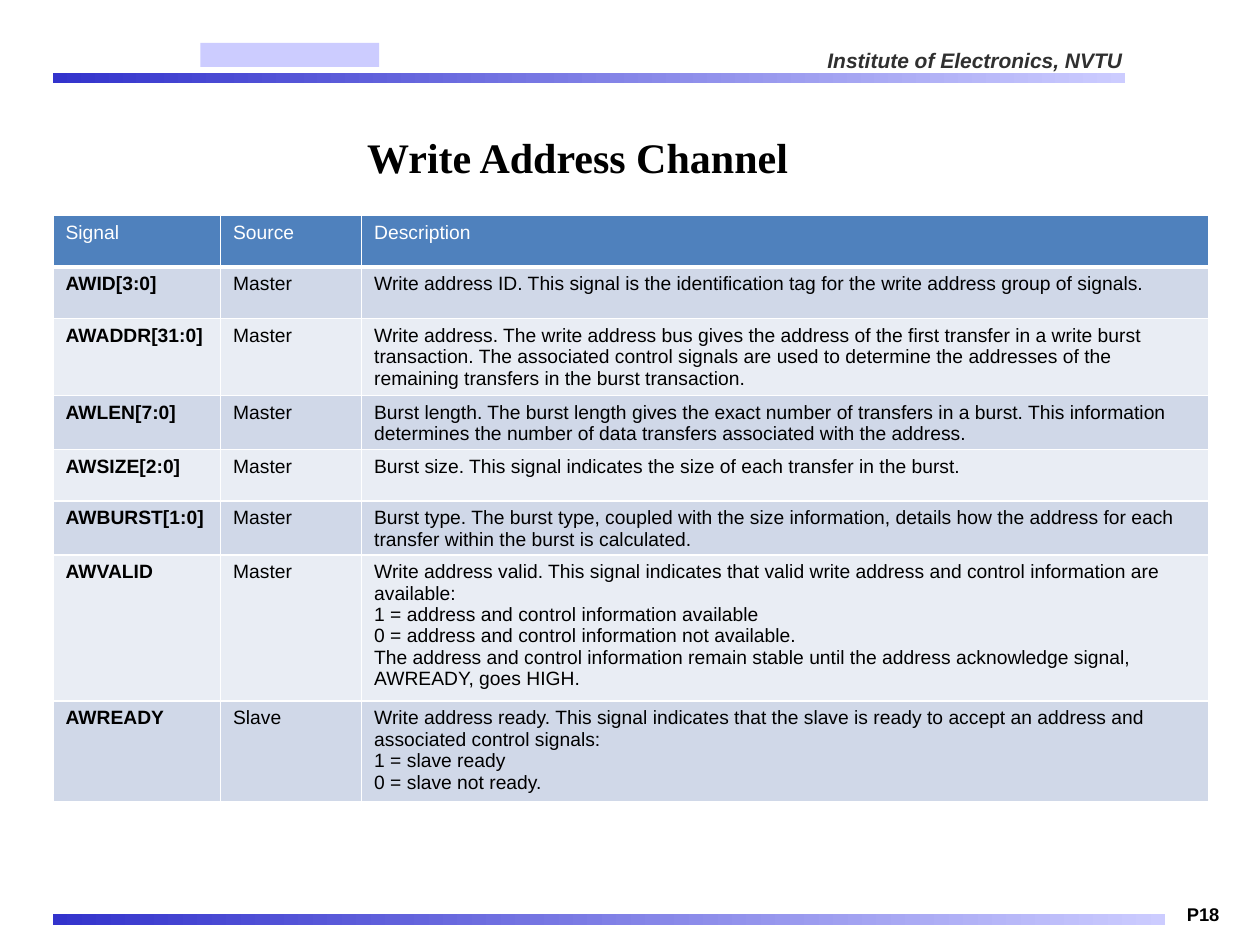
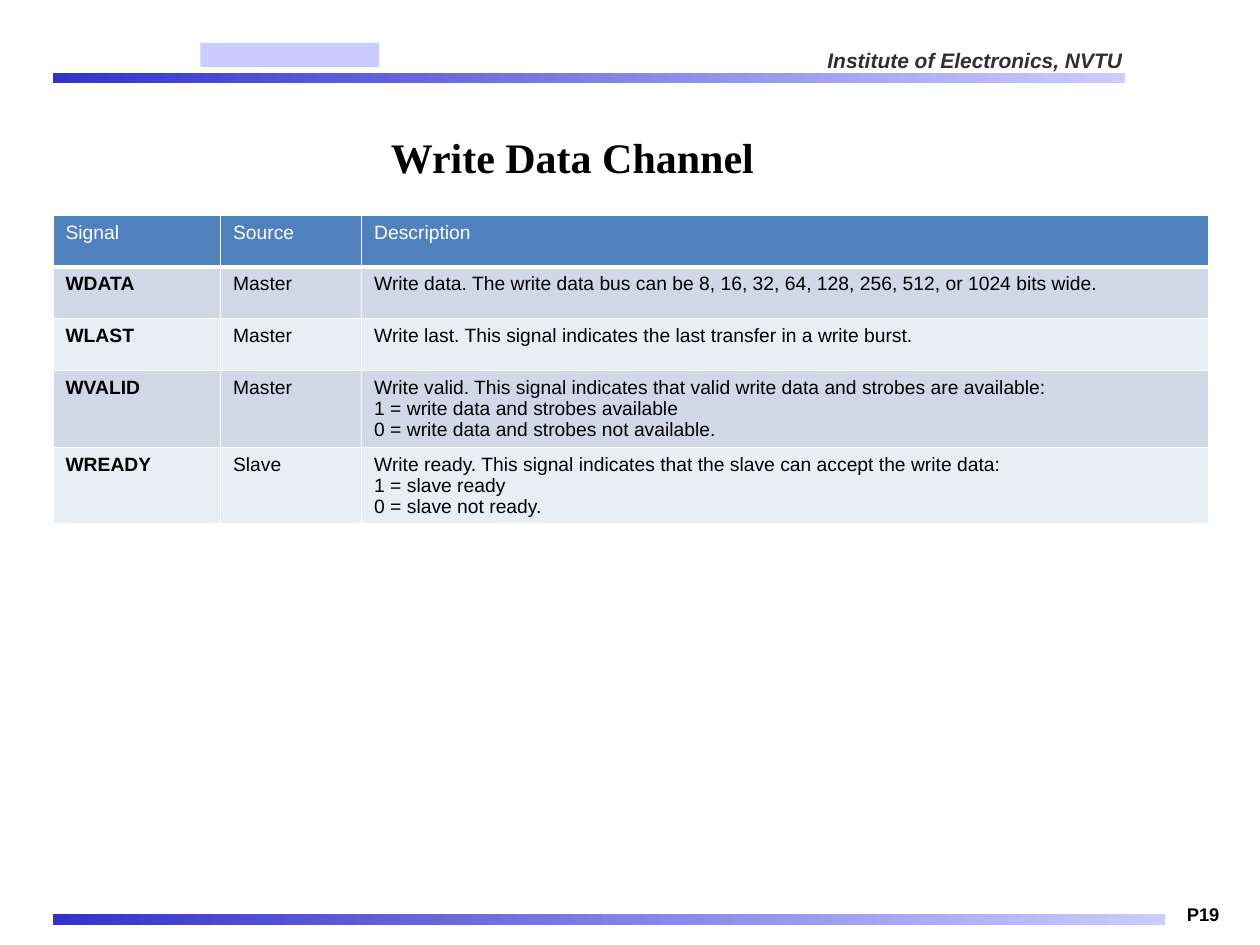
from pptx import Presentation
from pptx.dml.color import RGBColor
from pptx.enum.shapes import MSO_SHAPE as Shape
from pptx.enum.text import MSO_ANCHOR as Anchor, PP_ALIGN as Align
from pptx.oxml.ns import qn
from pptx.util import Inches, Pt
from lxml.etree import SubElement

BLACK, WHITE = "000000", "FFFFFF"
BAND_START, BAND_END = "3333CC", "CCCCFF"
HEADER_FILL = "4F81BD"
ROW_FILLS = ("D0D8E8", "E9EDF4")
COLUMN_WIDTHS = (1.33, 1.12, 6.72)
ROW_HEIGHT = 0.41
TIGHT = (0.07, 0.04)
ROOMY = (0.1, 0.05)

TITLE = {"size": Pt(24), "name": "Times New Roman", "bold": True}
INSTITUTE = {"size": Pt(12), "name": "Arial", "bold": True, "italic": True}
PAGE_NUMBER = {"size": Pt(10.5), "name": "Arial", "bold": True}
CELL = {"size": Pt(11), "name": "Arial", "bold": False}
SIGNAL = {**CELL, "bold": True}

INSTITUTE_NAME = "Institute of Electronics, NVTU"
HEADINGS = ("Signal", "Source", "Description")
ADDRESS_SIGNALS = (
    ("AWID[3:0]", "Master",
     "Write address ID. This signal is the identification tag for the write address "
     "group of signals."),
    ("AWADDR[31:0]", "Master",
     "Write address. The write address bus gives the address of the first transfer in "
     "a write burst transaction. The associated control signals are used to determine "
     "the addresses of the remaining transfers in the burst transaction."),
    ("AWLEN[7:0]", "Master",
     "Burst length. The burst length gives the exact number of transfers in a burst. "
     "This information determines the number of data transfers associated with the "
     "address."),
    ("AWSIZE[2:0]", "Master",
     "Burst size. This signal indicates the size of each transfer in the burst."),
    ("AWBURST[1:0]", "Master",
     "Burst type. The burst type, coupled with the size information, details how the "
     "address for each transfer within the burst is calculated."),
    ("AWVALID", "Master",
     "Write address valid. This signal indicates that valid write address and control "
     "information are available:\n"
     "1 = address and control information available\n"
     "0 = address and control information not available.\n"
     "The address and control information remain stable until the address acknowledge "
     "signal, AWREADY, goes HIGH."),
    ("AWREADY", "Slave",
     "Write address ready. This signal indicates that the slave is ready to accept an "
     "address and associated control signals:\n"
     "1 = slave ready\n0 = slave not ready."),
)
DATA_SIGNALS = (
    ("WDATA", "Master",
     "Write data. The write data bus can be 8, 16, 32, 64, 128, 256, 512, or 1024 bits "
     "wide."),
    ("WLAST", "Master",
     "Write last. This signal indicates the last transfer in a write burst."),
    ("WVALID", "Master",
     "Write valid. This signal indicates that valid write data and strobes are "
     "available:\n"
     "1 = write data and strobes available\n"
     "0 = write data and strobes not available."),
    ("WREADY", "Slave",
     "Write ready. This signal indicates that the slave can accept the write data:\n"
     "1 = slave ready\n0 = slave not ready."),
)
CHANNELS = (("Write Address Channel", ADDRESS_SIGNALS),
            ("Write Data Channel ", DATA_SIGNALS))
FIRST_PAGE = 18


def color(hex_value):
    """Turn a hex string into a colour."""
    return RGBColor.from_string(hex_value)


def set_font(font, style, hex_value):
    """Apply a dict of font values and a colour."""
    for name, value in style.items():
        setattr(font, name, value)
    font.color.rgb = color(hex_value)


def add_span(para, text, style, hex_value=BLACK):
    """Append a formatted run to a paragraph."""
    span = para.add_run()
    span.text = text
    set_font(span.font, style, hex_value)


def add_box(page, left, top, width, height, insets, wrap=True, anchor=Anchor.TOP):
    """Add a text box and return its first paragraph."""
    frame = page.shapes.add_textbox(*map(Inches, (left, top, width, height))).text_frame
    across, down = map(Inches, insets)
    values = {"word_wrap": wrap, "vertical_anchor": anchor,
              "margin_left": across, "margin_right": across,
              "margin_top": down, "margin_bottom": down}
    for name, value in values.items():
        setattr(frame, name, value)
    return frame.paragraphs[0]


def add_block(page, left, top, width, height):
    """Add a rectangle with no line or shadow and return it."""
    block = page.shapes.add_shape(
        Shape.RECTANGLE, *map(Inches, (left, top, width, height)))
    block.shadow.inherit = False
    block.line.fill.background()
    return block


def add_band(page, top, width, height):
    """Add a gradient band running from the left margin."""
    fill = add_block(page, 0.42, top, width, height).fill
    fill.gradient()
    fill.gradient_angle = 0
    for stop, hex_value in zip(fill.gradient_stops, (BAND_START, BAND_END)):
        stop.color.rgb = color(hex_value)


def add_lab_block(page):
    """Add the plain block that holds the lab's place in the header."""
    fill = add_block(page, 1.59, 0.34, 1.42, 0.19).fill
    fill.solid()
    fill.fore_color.rgb = color(BAND_END)


def add_frame(page, number):
    """Add the header, the bands and the page number."""
    add_band(page, 0.58, 8.51, 0.08)
    add_lab_block(page)
    header = add_box(page, 5.98, 0.34, 3, 0.28, TIGHT)
    header.alignment = Align.RIGHT
    add_span(header, INSTITUTE_NAME, INSTITUTE, "303030")
    add_span(add_box(page, 9.35, 7.13, 0.43, 0.25, TIGHT, wrap=False),
             f"P{number}", PAGE_NUMBER)
    add_band(page, 7.25, 8.83, 0.09)


def add_title(page, text):
    """Add the centred slide title."""
    para = add_box(page, 0.42, 0.83, 8.33, 0.83, ROOMY, anchor=Anchor.MIDDLE)
    para.alignment = Align.CENTER
    add_span(para, text, TITLE)


def set_borders(cell, top=1, bottom=1):
    """Draw white borders around a cell, ahead of its fill."""
    properties = cell._tc.get_or_add_tcPr()
    sides = {"a:lnL": 1, "a:lnR": 1, "a:lnT": top, "a:lnB": bottom}
    for place, (tag, width) in enumerate(sides.items()):
        line = SubElement(properties, qn(tag), w=str(Pt(width)))
        SubElement(SubElement(line, qn("a:solidFill")), qn("a:srgbClr"), val=WHITE)
        properties.insert(place, line)


def fill_cell(cell, text, fill, style, hex_value):
    """Write a cell and set its margin, fill and font."""
    cell.text = text
    cell.margin_bottom = Inches(0.01)
    cell.fill.solid()
    cell.fill.fore_color.rgb = color(fill)
    for para in cell.text_frame.paragraphs:
        for span in para.runs:
            set_font(span.font, style, hex_value)


def add_signal_table(page, signals):
    """Add the table of signals with alternating row fills."""
    rows = (HEADINGS, *signals)
    size = (0.42, 1.71, sum(COLUMN_WIDTHS), ROW_HEIGHT * len(rows))
    table = page.shapes.add_table(
        len(rows), len(HEADINGS), *map(Inches, size)).table
    for column, width in zip(table.columns, COLUMN_WIDTHS):
        column.width = Inches(width)
    for row, values in enumerate(rows):
        table.rows[row].height = Inches(ROW_HEIGHT)
        for column, text in enumerate(values):
            cell = table.cell(row, column)
            if row == 0:
                fill_cell(cell, text, HEADER_FILL, CELL, WHITE)
            else:
                style = SIGNAL if column == 0 else CELL
                fill_cell(cell, text, ROW_FILLS[(row - 1) % 2], style, BLACK)
            set_borders(cell, top=3 if row == 1 else 1, bottom=3 if row == 0 else 1)


def main():
    """Build the channel slides and save the deck."""
    deck = Presentation()
    deck.slide_width, deck.slide_height = Inches(10), Inches(7.5)
    for number, (title, signals) in enumerate(CHANNELS, FIRST_PAGE):
        page = deck.slides.add_slide(deck.slide_layouts[6])
        add_frame(page, number)
        add_title(page, title)
        add_signal_table(page, signals)
    deck.save("out.pptx")


if __name__ == "__main__":
    main()
